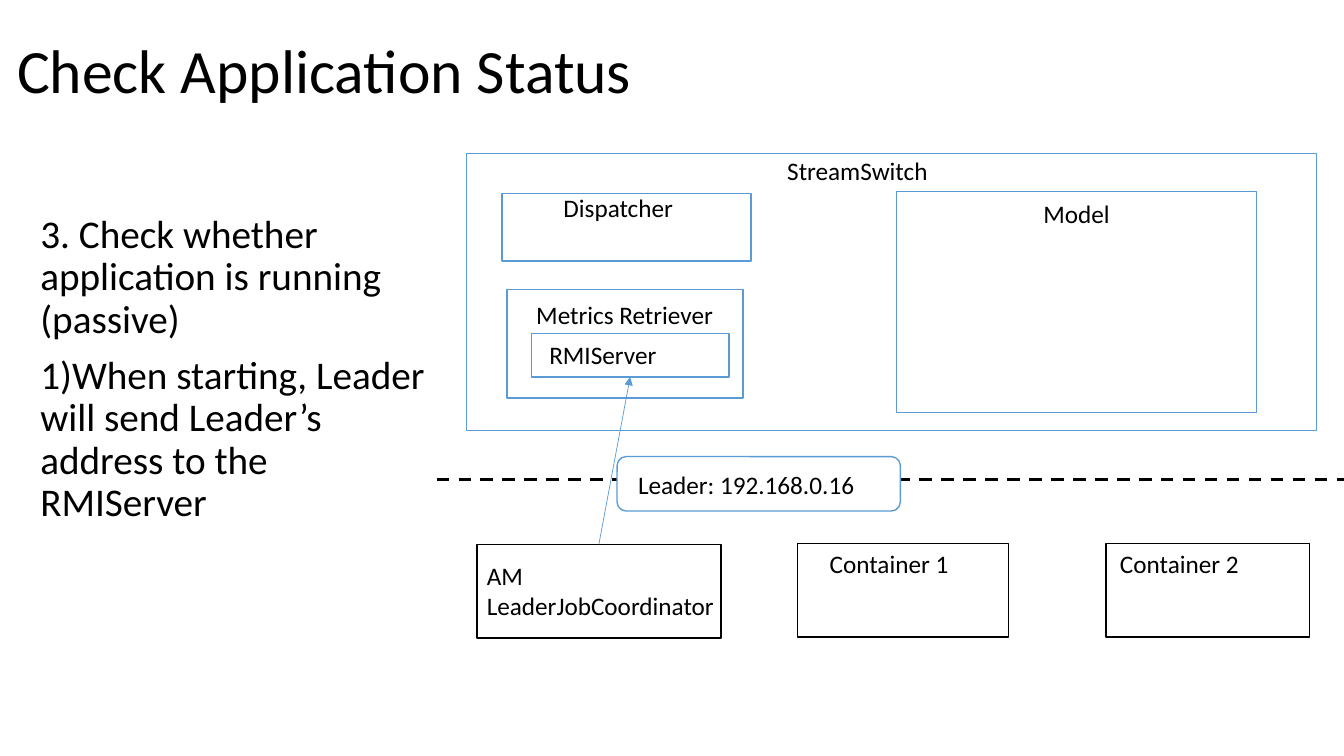
from pptx import Presentation
from pptx.dml.color import RGBColor
from pptx.enum.dml import MSO_LINE
from pptx.enum.shapes import MSO_CONNECTOR, MSO_SHAPE
from pptx.enum.text import MSO_ANCHOR, MSO_AUTO_SIZE, PP_ALIGN
from pptx.oxml.ns import qn
from pptx.util import Inches, Pt
from lxml import etree

RECT = MSO_SHAPE.RECTANGLE
ROUNDED = MSO_SHAPE.ROUNDED_RECTANGLE
STRAIGHT = MSO_CONNECTOR.STRAIGHT
DASH = MSO_LINE.DASH
LEFT = PP_ALIGN.LEFT
TOP, MIDDLE = MSO_ANCHOR.TOP, MSO_ANCHOR.MIDDLE
NO_FIT = MSO_AUTO_SIZE.NONE
FIT_SHAPE = MSO_AUTO_SIZE.SHAPE_TO_FIT_TEXT

COLORS = {"white": "FFFFFF", "black": "000000", "blue": "5B9BD5"}
FONT = "Calibri"


def rgb(name):
    return RGBColor.from_string(COLORS[name])


def place(sp, x, y, w, h):
    sp.left, sp.top, sp.width, sp.height = (Inches(v) for v in (x, y, w, h))


def write(tf, lines, size=18, color="black", anchor=TOP, fit=NO_FIT,
          spacing=None, before=None):
    tf.word_wrap = True
    tf.auto_size = fit
    tf.vertical_anchor = anchor
    for i, line in enumerate(lines):
        p = tf.paragraphs[0] if i == 0 else tf.add_paragraph()
        p.alignment = LEFT
        if spacing is not None:
            p.line_spacing = spacing
        if before is not None:
            p.space_before = Pt(before)
        r = p.add_run()
        r.text = line
        r.font.name = FONT
        r.font.size = Pt(size)
        r.font.color.rgb = rgb(color)


def add_box(s, x, y, w, h, line="blue", shape=RECT):
    sp = s.shapes.add_shape(shape, Inches(x), Inches(y), Inches(w), Inches(h))
    sp.shadow.inherit = False
    sp.fill.solid()
    sp.fill.fore_color.rgb = rgb("white")
    sp.line.color.rgb = rgb(line)
    sp.line.width = Pt(1)
    return sp


def add_label(s, x, y, w, *lines, h=0.4):
    sp = s.shapes.add_textbox(Inches(x), Inches(y), Inches(w), Inches(h))
    write(sp.text_frame, lines, fit=FIT_SHAPE)


def add_line(s, x1, y1, x2, y2, color, width):
    c = s.shapes.add_connector(STRAIGHT, Inches(x1), Inches(y1), Inches(x2), Inches(y2))
    c.line.color.rgb = rgb(color)
    c.line.width = Pt(width)
    etree.SubElement(c.element.spPr, qn("a:effectLst"))
    return c


def add_title(s, x, y, w, h):
    sp = s.shapes.title
    place(sp, x, y, w, h)
    write(sp.text_frame, ["Check Application Status"], size=44, anchor=MIDDLE, spacing=0.9)


def add_steps(s, x, y, w, h):
    sp = s.placeholders[1]
    place(sp, x, y, w, h)
    write(sp.text_frame, [
        "3. Check whether application is running (passive)",
        "1)When starting, Leader will send Leader’s address to the RMIServer",
    ], size=28, spacing=0.9, before=10)
    for p in sp.text_frame.paragraphs:
        pPr = p._p.get_or_add_pPr()
        pPr.set("marL", "0")
        pPr.set("indent", "0")
        etree.SubElement(pPr, qn("a:buNone"))


def add_stream_switch(s, x, y, w, h):
    add_box(s, x, y, w, h)
    add_label(s, x + 3.08, y - 0.03, 1.87, "StreamSwitch")
    add_box(s, x + 0.35, y + 0.4, 2.47, 0.67)
    add_label(s, x + 0.86, y + 0.34, 1.44, "Dispatcher")
    add_box(s, x + 4.26, y + 0.38, 3.57, 2.19)
    add_label(s, x + 5.62, y + 0.4, 1.24, "Model")
    return add_retriever(s, x + 0.4, y + 1.35, 2.34, 1.08)


def add_retriever(s, x, y, w, h):
    add_box(s, x, y, w, h)
    add_label(s, x + 0.19, y + 0.05, 2.05, "Metrics Retriever")
    server = add_box(s, x + 0.24, y + 0.44, 1.96, 0.43)
    add_label(s, x + 0.32, y + 0.45, 1.8, "RMIServer")
    return server


def add_cluster(s, x, y, h):
    containers = [("Container 1", 3.18, 2.09, 0.22), ("Container 2", 6.24, 2.02, 0.04)]
    for name, dx, w, inset in containers:
        add_box(s, x + dx, y, w, h, line="black")
        add_label(s, x + dx + inset, y, 2.05, name)
    coordinator = add_box(s, x, y + 0.01, 2.42, h, line="black")
    add_label(s, x, y + 0.12, 2.52, "AM", "LeaderJobCoordinator", h=0.71)
    return coordinator


def add_boundary(s, x, y, w):
    add_line(s, x, y, x + w, y, "black", 2.25).line.dash_style = DASH


def add_report_arrow(s, coordinator, server):
    c = add_line(s, 5.94, 5.4, 6.25, 3.74, "blue", 0.5)
    c.begin_connect(coordinator, 0)
    c.end_connect(server, 2)
    etree.SubElement(c.line._get_or_add_ln(), qn("a:tailEnd"), type="triangle")


def add_leader_address(s, x, y, w, h):
    add_box(s, x, y, w, h, shape=ROUNDED)
    add_label(s, x + 0.11, y + 0.08, 2.44, "Leader: 192.168.0.16")


def main():
    prs = Presentation()
    prs.slide_width, prs.slide_height = Inches(13.33), Inches(7.5)
    s = prs.slides.add_slide(prs.slide_layouts[1])
    add_title(s, 0.07, 0, 11.5, 1.45)
    add_steps(s, 0.3, 2.08, 4.06, 4.76)
    server = add_stream_switch(s, 4.63, 1.52, 8.43, 2.75)
    add_boundary(s, 4.33, 4.76, 9)
    coordinator = add_cluster(s, 4.73, 5.39, 0.93)
    add_report_arrow(s, coordinator, server)
    add_leader_address(s, 6.12, 4.53, 2.81, 0.54)
    prs.save("out.pptx")


if __name__ == "__main__":
    main()
